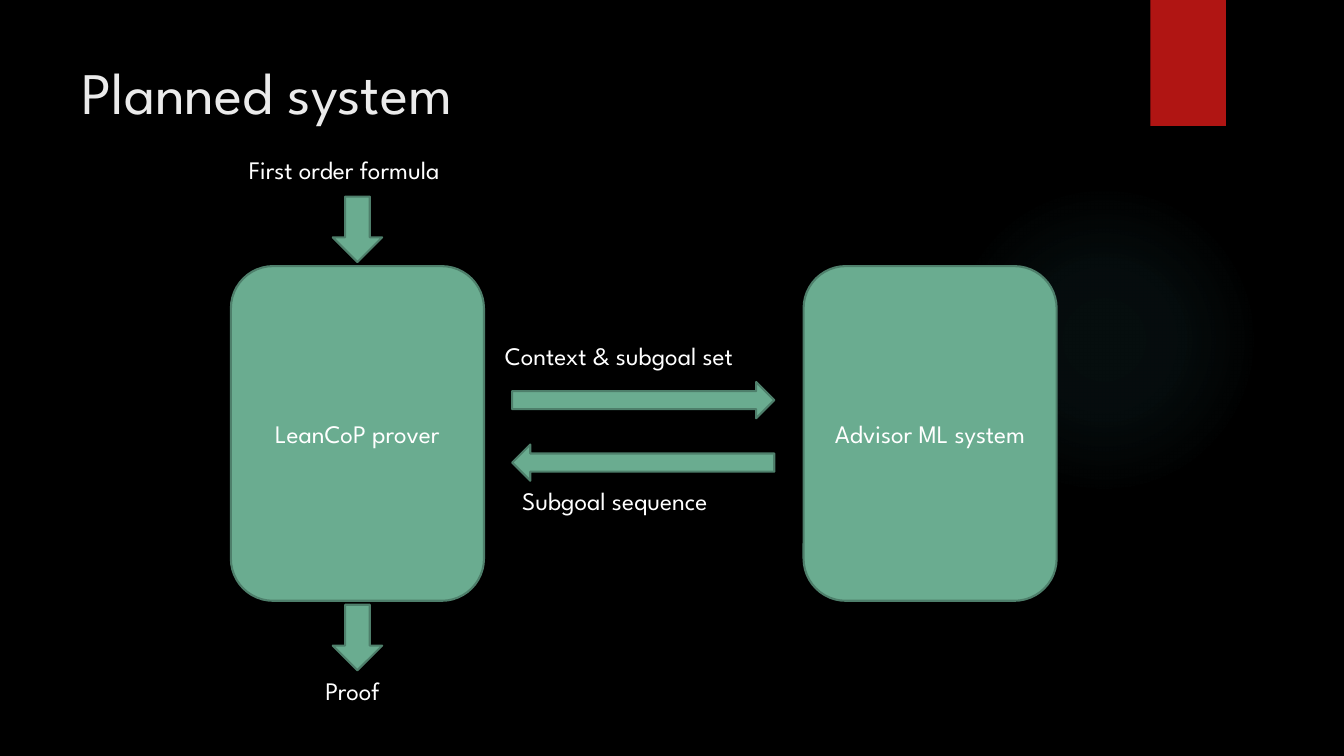
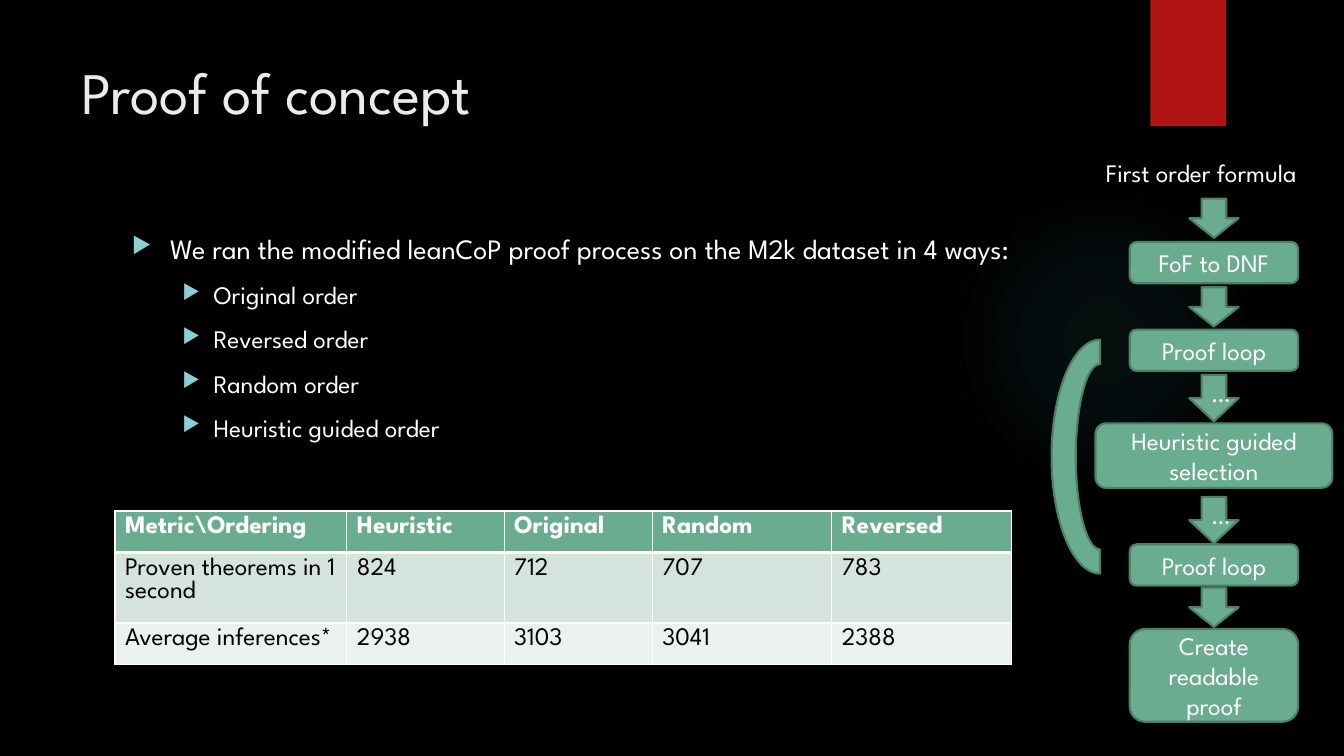
"""Build two slides on a guided theorem prover: planned system and proof of concept."""
from lxml import etree
from pptx import Presentation
from pptx.dml.color import RGBColor
from pptx.enum.shapes import MSO_SHAPE as Preset
from pptx.enum.text import MSO_ANCHOR as Anchor, PP_ALIGN as Align
from pptx.oxml import parse_xml
from pptx.oxml.ns import nsdecls, qn
from pptx.util import Inches, Pt

BLACK = RGBColor(0x00, 0x00, 0x00)
WHITE = RGBColor(0xFF, 0xFF, 0xFF)
TITLE_GREY = RGBColor(0xEB, 0xEB, 0xEB)
RED = RGBColor(0xB0, 0x15, 0x13)
GREEN = RGBColor(0x6A, 0xAC, 0x90)
DARK_GREEN = RGBColor(0x4E, 0x7F, 0x6B)
PALE_GREEN = RGBColor(0xD4, 0xE3, 0xDB)
PALER_GREEN = RGBColor(0xEB, 0xF1, 0xEE)
GLOW = RGBColor(0x50, 0xB9, 0xC1)
BULLET = RGBColor(0x8A, 0xD0, 0xD6)

TITLE = {"name": "League Spartan", "size": Pt(42)}
LEAD = {"name": "League Spartan", "size": Pt(20)}
LABEL = {"name": "League Spartan", "size": Pt(18)}
HEADER = {**LABEL, "bold": True}

GLOW_STOPS = ((0, 7), (36, 6), (69, 0))
ARROW_WIDTH = 0.49
PROVER_LEFT, ADVISOR_LEFT = 2.29, 7.97
SYSTEM_TOP, SYSTEM_WIDTH, SYSTEM_HEIGHT = 2.64, 2.51, 3.32
FLOW_CENTER = 12.04
FLOW_STEPS = (
    ("FoF to DNF", 2.4, 1.67, 0.41),
    ("Proof loop", 3.27, 1.67, 0.41),
    ("Heuristic guided selection", 4.2, 2.35, 0.64),
    ("Proof loop", 5.4, 1.67, 0.41),
    ("Create readable proof", 6.24, 1.67, 0.92),
)
FLOW_ARROWS = (
    (1.97, 0.39, ""), (2.85, 0.39, ""), (3.72, 0.46, "…"),
    (4.93, 0.46, "…"), (5.83, 0.39, ""),
)
ORDERS = ("Original order", "Reversed order", "Random order", "Heuristic guided order")
RESULTS = (
    ("Metric\\Ordering", "Heuristic", "Original", "Random", "Reversed"),
    ("Proven theorems in 1 second", "824", "712", "707", "783"),
    ("Average inferences*", "2938", "3103", "3041", "2388"),
)
COLUMN_WIDTHS = (2.3, 1.56, 1.47, 1.78, 1.78)
ROW_HEIGHTS = (0.41, 0.7, 0.41)
ROW_STYLES = ((GREEN, WHITE, HEADER), (PALE_GREEN, BLACK, LABEL), (PALER_GREEN, BLACK, LABEL))


def box(left, top, width, height):
    """Return a position and size as lengths."""
    return [Inches(value) for value in (left, top, width, height)]


def write(paragraph, text, style=LABEL, color=WHITE):
    """Add a formatted run to a paragraph."""
    run = paragraph.add_run()
    run.text = text
    for attribute, value in style.items():
        setattr(run.font, attribute, value)
    run.font.color.rgb = color


def add_label(slide, text, area, style=LABEL, color=WHITE):
    """Add a wrapped line of text."""
    frame = slide.shapes.add_textbox(*box(*area)).text_frame
    frame.word_wrap = True
    write(frame.paragraphs[0], text, style, color)


def add_flat(slide, preset, area):
    """Add a shape without shadow or outline."""
    shape = slide.shapes.add_shape(preset, *box(*area))
    shape.shadow.inherit = False
    shape.line.fill.background()
    return shape


def add_block(slide, preset, area, text=""):
    """Add a green diagram shape with optional centred text."""
    block = add_flat(slide, preset, area)
    block.fill.solid()
    block.fill.fore_color.rgb = GREEN
    block.line.color.rgb = DARK_GREEN
    block.line.width = Pt(1.5)
    if text:
        frame = block.text_frame
        frame.word_wrap = True
        frame.vertical_anchor = Anchor.MIDDLE
        frame.paragraphs[0].alignment = Align.CENTER
        write(frame.paragraphs[0], text)
    return block


def add_glow(slide):
    """Add the faint radial glow."""
    glow = add_flat(slide, Preset.OVAL, (9.41, 1.83, 3.08, 3.08))
    stops = "".join(
        f'<a:gs pos="{place * 1000}"><a:srgbClr val="{GLOW}">'
        f'<a:alpha val="{alpha * 1000}"/></a:srgbClr></a:gs>'
        for place, alpha in GLOW_STOPS
    )
    gradient = parse_xml(
        f'<a:gradFill {nsdecls("a")}><a:gsLst>{stops}</a:gsLst><a:path path="circle">'
        '<a:fillToRect l="50000" t="50000" r="50000" b="50000"/></a:path></a:gradFill>'
    )
    glow.element.spPr.find(qn("a:prstGeom")).addnext(gradient)


def add_slide(deck, title):
    """Add a black slide with glow, red band and title."""
    slide = deck.slides.add_slide(deck.slide_layouts[6])
    slide.background.fill.solid()
    slide.background.fill.fore_color.rgb = BLACK
    add_glow(slide)
    band = add_flat(slide, Preset.RECTANGLE, (11.41, 0, 0.75, 1.25))
    band.fill.solid()
    band.fill.fore_color.rgb = RED
    add_label(slide, title, (0.71, 0.5, 10.29, 1.53), TITLE, TITLE_GREY)
    return slide


def add_bullet(paragraph, text, style, margin, hanging):
    """Write a paragraph with a triangle bullet."""
    paragraph.space_before = Pt(10)
    write(paragraph, text, style)
    properties = paragraph._p.get_or_add_pPr()
    properties.set("marL", str(Inches(margin)))
    properties.set("indent", str(-Inches(hanging)))
    color = etree.SubElement(properties, qn("a:buClr"))
    etree.SubElement(color, qn("a:srgbClr"), val=str(BULLET))
    etree.SubElement(properties, qn("a:buSzPct"), val="80000")
    etree.SubElement(properties, qn("a:buChar"), char="▶")


def add_orders(slide):
    """Add the list of tested orderings."""
    frame = slide.shapes.add_textbox(*box(1.21, 2.25, 9.78, 2.6)).text_frame
    frame.word_wrap = True
    lead = "We ran the modified leanCoP proof process on the M2k dataset in 4 ways:"
    add_bullet(frame.paragraphs[0], lead, LEAD, 0.38, 0.38)
    for order in ORDERS:
        add_bullet(frame.add_paragraph(), order, LABEL, 0.81, 0.31)


def add_borders(cell, header):
    """Draw white cell borders, thicker where the header meets the body."""
    properties = cell._tc.get_or_add_tcPr()
    widths = {"L": 1, "R": 1, "T": 1, "B": 1}
    if header is not None:
        widths[header] = 3
    for index, (side, width) in enumerate(widths.items()):
        border = parse_xml(
            f'<a:ln{side} {nsdecls("a")} w="{Pt(width)}"><a:solidFill>'
            f'<a:srgbClr val="{WHITE}"/></a:solidFill></a:ln{side}>'
        )
        properties.insert(index, border)


def add_results(slide):
    """Add the table of results by ordering."""
    area = box(1.14, 5.07, sum(COLUMN_WIDTHS), sum(ROW_HEIGHTS))
    table = slide.shapes.add_table(len(RESULTS), len(COLUMN_WIDTHS), *area).table
    for column, width in zip(table.columns, COLUMN_WIDTHS):
        column.width = Inches(width)
    for row, height in zip(table.rows, ROW_HEIGHTS):
        row.height = Inches(height)
    for index, (values, (fill, color, style)) in enumerate(zip(RESULTS, ROW_STYLES)):
        for cell, value in zip(table.rows[index].cells, values):
            cell.fill.solid()
            cell.fill.fore_color.rgb = fill
            write(cell.text_frame.paragraphs[0], value, style, color)
            add_borders(cell, {0: "B", 1: "T"}.get(index))


def build_planned_system(deck):
    """Build the diagram of prover and advisor."""
    slide = add_slide(deck, "Planned system")
    for left, name in ((PROVER_LEFT, "LeanCoP prover"), (ADVISOR_LEFT, "Advisor ML system")):
        area = (left, SYSTEM_TOP, SYSTEM_WIDTH, SYSTEM_HEIGHT)
        add_block(slide, Preset.ROUNDED_RECTANGLE, area, name)
    arrow_left = PROVER_LEFT + (SYSTEM_WIDTH - ARROW_WIDTH) / 2
    for top in (1.95, 6):
        add_block(slide, Preset.DOWN_ARROW, (arrow_left, top, ARROW_WIDTH, 0.65))
    for preset, top in ((Preset.RIGHT_ARROW, 3.79), (Preset.LEFT_ARROW, 4.41)):
        add_block(slide, preset, (5.08, top, 2.6, 0.36))
    for text, left, top, width in (
        ("First order formula", 2.37, 1.48, 2.36),
        ("Proof", 3.13, 6.65, 0.83),
        ("Context & subgoal set", 4.91, 3.33, 2.95),
        ("Subgoal sequence", 5.08, 4.77, 2.58),
    ):
        add_label(slide, text, (left, top, width, 0.4))


def build_proof_of_concept(deck):
    """Build the orderings, results and process flow."""
    slide = add_slide(deck, "Proof of concept")
    add_orders(slide)
    add_label(slide, "First order formula", (10.87, 1.51, 2.36, 0.4))
    for text, top, width, height in FLOW_STEPS:
        area = (FLOW_CENTER - width / 2, top, width, height)
        add_block(slide, Preset.ROUNDED_RECTANGLE, area, text)
    for top, height, text in FLOW_ARROWS:
        area = (FLOW_CENTER - ARROW_WIDTH / 2, top, ARROW_WIDTH, height)
        add_block(slide, Preset.DOWN_ARROW, area, text)
    loop = add_block(slide, Preset.BLOCK_ARC, (9.75, 4.05, 2.32, 0.96))
    loop.rotation = 270
    for index, value in enumerate((108, 0, 0.25)):
        loop.adjustments[index] = value
    add_results(slide)


def main():
    """Create and save the deck."""
    deck = Presentation()
    deck.slide_width, deck.slide_height = Inches(13.33), Inches(7.5)
    build_planned_system(deck)
    build_proof_of_concept(deck)
    deck.save("out.pptx")


if __name__ == "__main__":
    main()
